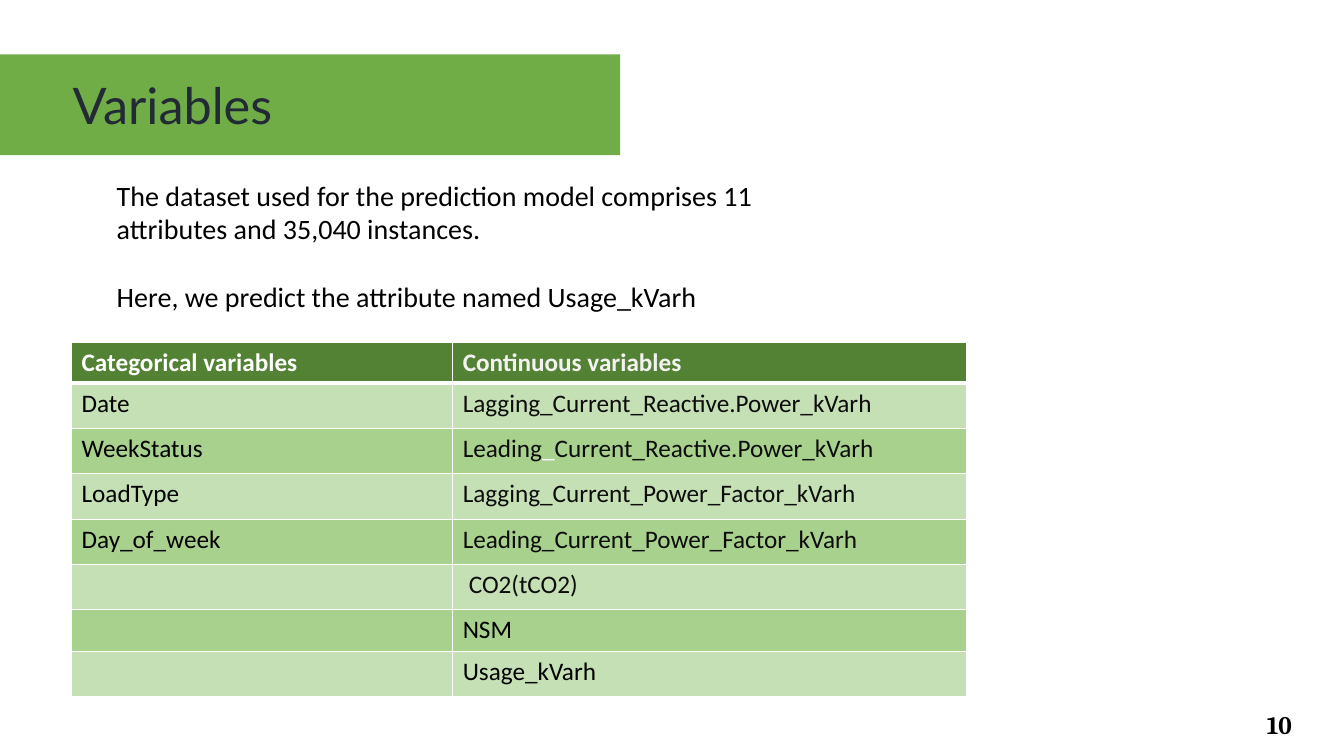
from lxml import etree
from pptx import Presentation
from pptx.dml.color import RGBColor
from pptx.enum.shapes import MSO_SHAPE
from pptx.enum.text import MSO_ANCHOR, PP_ALIGN
from pptx.oxml.ns import qn
from pptx.util import Inches, Pt


def style(r, size, color, name="Calibri", bold=False):
    r.font.size = Pt(size)
    r.font.name = name
    r.font.bold = bold
    r.font.color.rgb = RGBColor.from_string(color)


def add_border(cell, side, width):
    ln = etree.SubElement(cell._tc.get_or_add_tcPr(), qn(f"a:ln{side}"), w=str(Pt(width)))
    fill = etree.SubElement(ln, qn("a:solidFill"))
    etree.SubElement(fill, qn("a:srgbClr"), val="FFFFFF")


prs = Presentation()
prs.slide_width = Inches(13.33)
prs.slide_height = Inches(7.5)
s = prs.slides.add_slide(prs.slide_layouts[6])

number = s.shapes.add_textbox(Inches(9.89), Inches(6.99), Inches(3.02), Inches(0.4))
tf = number.text_frame
tf.word_wrap = True
tf.vertical_anchor = MSO_ANCHOR.MIDDLE
p = tf.paragraphs[0]
p.text = "10"
p.alignment = PP_ALIGN.RIGHT
style(p.runs[0], 18, "000000", "Cambria", True)

BLACK, DARK, WHITE = "000000", "0D0D0D", "FFFFFF"
rows = [
    ("Categorical variables", [("Continuous variables", "F2F2F2")]),
    ("Date", [("Lagging_Current_Reactive.Power_kVarh", DARK)]),
    ("WeekStatus", [("Leading", DARK), ("_", WHITE), ("Current_Reactive.Power_kVarh", DARK)]),
    ("LoadType", [("Lagging_Current_Power_Factor_kVarh", DARK)]),
    ("Day_of_week", [("Leading_Current_Power_Factor_kVarh", DARK)]),
    ("", [("CO2(tCO2)", DARK)]),
    ("", [("NSM", BLACK)]),
    ("", [("Usage_kVarh", BLACK)]),
]
heights = [0.39, 0.45, 0.45, 0.45, 0.45, 0.45, 0.41, 0.45]
table = s.shapes.add_table(len(rows), 2, Inches(0.71), Inches(3.4),
                           Inches(8.88), Inches(sum(heights))).table
table.columns[0].width = Inches(3.78)
table.columns[1].width = Inches(5.1)
for i, (categorical, continuous) in enumerate(rows):
    table.rows[i].height = Inches(heights[i])
    header = i == 0
    fill = "548235" if header else ("A9D18E", "C5E0B4")[i % 2]
    label = [(categorical, WHITE if header else BLACK)] if categorical else []
    for j, parts in enumerate((label, continuous)):
        cell = table.cell(i, j)
        for side in "LRTB":
            thick = (header and side == "B") or (i == 1 and side == "T")
            add_border(cell, side, 3 if thick else 1)
        cell.fill.solid()
        cell.fill.fore_color.rgb = RGBColor.from_string(fill)
        p = cell.text_frame.paragraphs[0]
        for text, color in parts:
            r = p.add_run()
            r.text = text
            style(r, 18, color, bold=header)
table.cell(5, 1).margin_left = Inches(0.16)

intro = s.shapes.add_textbox(Inches(1.06), Inches(1.72), Inches(6.67), Inches(1.75))
tf = intro.text_frame
tf.word_wrap = True
tf.text = ("The dataset used for the prediction model comprises 11 attributes and 35,040 instances.\n"
           "Here, we predict the attribute named Usage_kVarh")
tf.paragraphs[1].space_before = Pt(24)
for p in tf.paragraphs:
    style(p.runs[0], 20, BLACK)

title = s.shapes.add_shape(MSO_SHAPE.RECTANGLE, 0, Inches(0.54), Inches(6.15), Inches(1))
title.shadow.inherit = False
title.fill.solid()
title.fill.fore_color.rgb = RGBColor.from_string("70AD47")
title.line.fill.background()
tf = title.text_frame
tf.margin_left = Inches(0.72)
tf.vertical_anchor = MSO_ANCHOR.MIDDLE
p = tf.paragraphs[0]
p.text = "Variables"
p.alignment = PP_ALIGN.LEFT
style(p.runs[0], 36, "222A35", "Lato")

prs.save("out.pptx")
